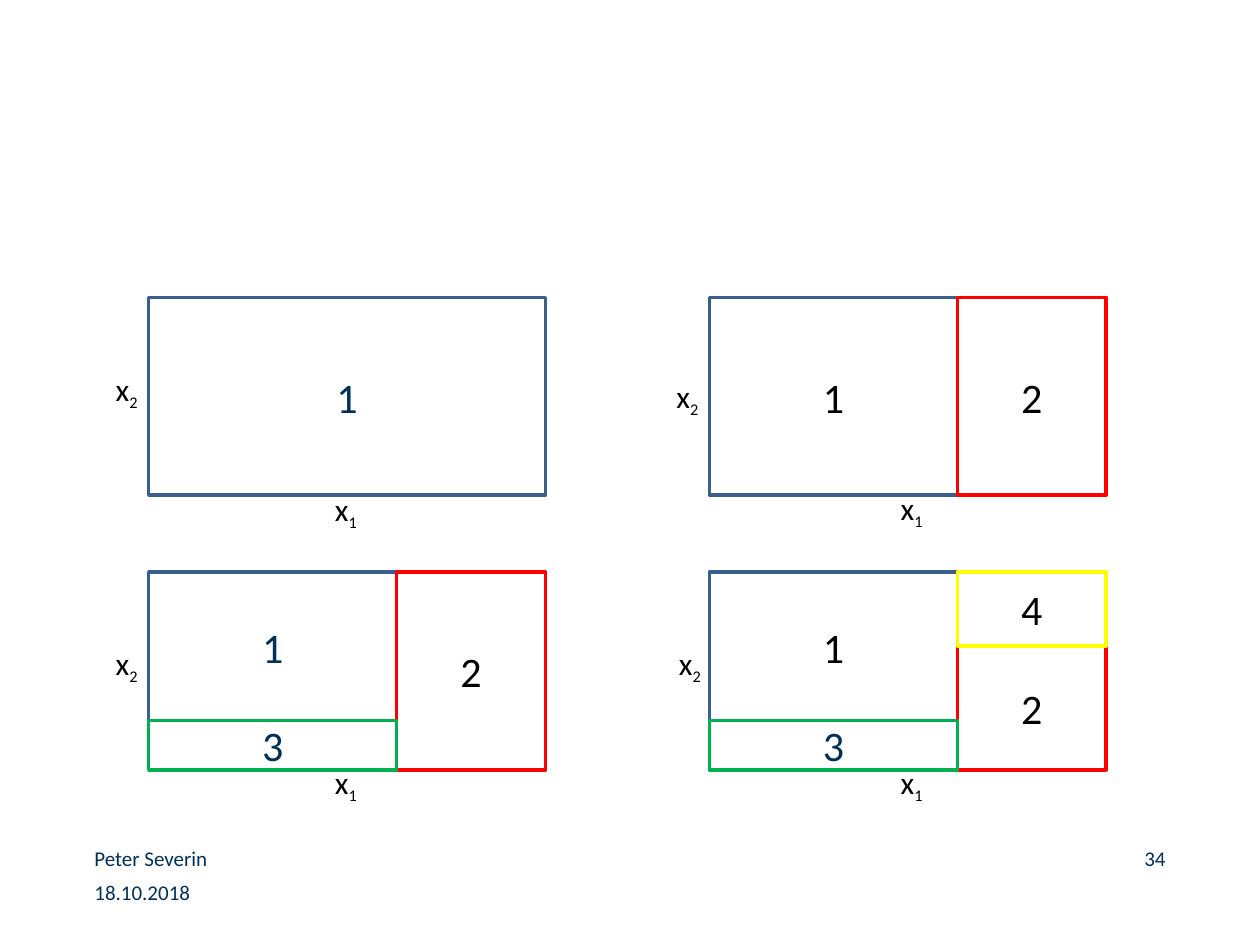
from pptx import Presentation
from pptx.dml.color import RGBColor
from pptx.enum.shapes import MSO_SHAPE
from pptx.enum.text import MSO_ANCHOR, MSO_AUTO_SIZE, PP_ALIGN
from pptx.util import Inches, Pt

RECTANGLE = MSO_SHAPE.RECTANGLE
MIDDLE = MSO_ANCHOR.MIDDLE
FIT_SHAPE = MSO_AUTO_SIZE.SHAPE_TO_FIT_TEXT
LEFT, CENTER, RIGHT = PP_ALIGN.LEFT, PP_ALIGN.CENTER, PP_ALIGN.RIGHT

FONT = "Calibri"
COLORS = {
    "navy": "003056",
    "black": "000000",
    "blue": "3A5F8C",
    "red": "FF0000",
    "green": "00B050",
    "yellow": "FFFF00",
}

PANEL_WIDTH, PANEL_HEIGHT = 3.15, 1.57
COLUMNS = (1.18, 5.63)
ROWS = (2.36, 4.54)
SPLIT = 5 / 8

# number, line, text, then left, top, width and height as shares of the panel
PANELS = [
    {
        "column": 0, "row": 0,
        "regions": [("1", "blue", "navy", 0, 0, 1, 1)],
        "axes": [("2", 0.82, 2.89), ("1", 2.56, 3.84)],
    },
    {
        "column": 1, "row": 0,
        "regions": [
            ("1", "blue", "black", 0, 0, SPLIT, 1),
            ("2", "red", "black", SPLIT, 0, 1 - SPLIT, 1),
        ],
        "axes": [("2", 5.27, 2.94), ("1", 7.05, 3.83)],
    },
    {
        "column": 0, "row": 1,
        "regions": [
            ("1", "blue", "navy", 0, 0, SPLIT, 3 / 4),
            ("2", "red", "black", SPLIT, 0, 1 - SPLIT, 1),
            ("3", "green", "navy", 0, 3 / 4, SPLIT, 1 / 4),
        ],
        "axes": [("2", 0.82, 5.06), ("1", 2.56, 6.01)],
    },
    {
        "column": 1, "row": 1,
        "regions": [
            ("1", "blue", "black", 0, 0, SPLIT, 3 / 4),
            ("2", "red", "black", SPLIT, 3 / 8, 1 - SPLIT, 5 / 8),
            ("3", "green", "navy", 0, 3 / 4, SPLIT, 1 / 4),
            ("4", "yellow", "black", SPLIT, 0, 1 - SPLIT, 3 / 8),
        ],
        "axes": [("2", 5.29, 5.06), ("1", 7.05, 6.01)],
    },
]

FOOTERS = [
    ("18.10.2018", 0.75, 6.98, 2.33, LEFT),
    ("Peter Severin", 0.75, 6.71, 3.17, LEFT),
    ("34", 8.1, 6.71, 1.15, RIGHT),
]


def format_run(run, size, color):
    run.font.name = FONT
    run.font.size = Pt(size)
    run.font.color.rgb = RGBColor.from_string(COLORS[color])


def add_footer(slide, text, left, top, width, alignment):
    box = slide.shapes.add_textbox(Inches(left), Inches(top), Inches(width), Inches(0.2))
    frame = box.text_frame
    frame.margin_left = frame.margin_right = frame.margin_top = frame.margin_bottom = 0
    frame.word_wrap = True
    frame.text = text
    paragraph = frame.paragraphs[0]
    paragraph.alignment = alignment
    format_run(paragraph.runs[0], 12, color="navy")


def add_region(slide, panel, number, line, color, left, top, width, height):
    shape = slide.shapes.add_shape(
        RECTANGLE,
        Inches(COLUMNS[panel["column"]] + left * PANEL_WIDTH),
        Inches(ROWS[panel["row"]] + top * PANEL_HEIGHT),
        Inches(width * PANEL_WIDTH),
        Inches(height * PANEL_HEIGHT),
    )
    shape.shadow.inherit = False
    shape.fill.background()
    shape.line.color.rgb = RGBColor.from_string(COLORS[line])
    shape.line.width = Pt(2)
    frame = shape.text_frame
    frame.vertical_anchor = MIDDLE
    frame.text = number
    paragraph = frame.paragraphs[0]
    paragraph.alignment = CENTER
    format_run(paragraph.runs[0], 24, color)


def add_axis_label(slide, index, left, top):
    box = slide.shapes.add_textbox(Inches(left), Inches(top), Inches(0.39), Inches(0.4))
    frame = box.text_frame
    frame.word_wrap = False
    frame.auto_size = FIT_SHAPE
    paragraph = frame.paragraphs[0]
    for text, size in (("x", 18), (index, 16)):
        run = paragraph.add_run()
        run.text = text
        format_run(run, size, "black")
    run.font._element.set("baseline", "-25000")


def main():
    presentation = Presentation()
    presentation.slide_width = Inches(10)
    presentation.slide_height = Inches(7.5)
    slide = presentation.slides.add_slide(presentation.slide_layouts[6])
    for footer in FOOTERS:
        add_footer(slide, *footer)
    for panel in PANELS:
        for region in panel["regions"]:
            add_region(slide, panel, *region)
        for axis in panel["axes"]:
            add_axis_label(slide, *axis)
    presentation.save("out.pptx")


if __name__ == "__main__":
    main()
